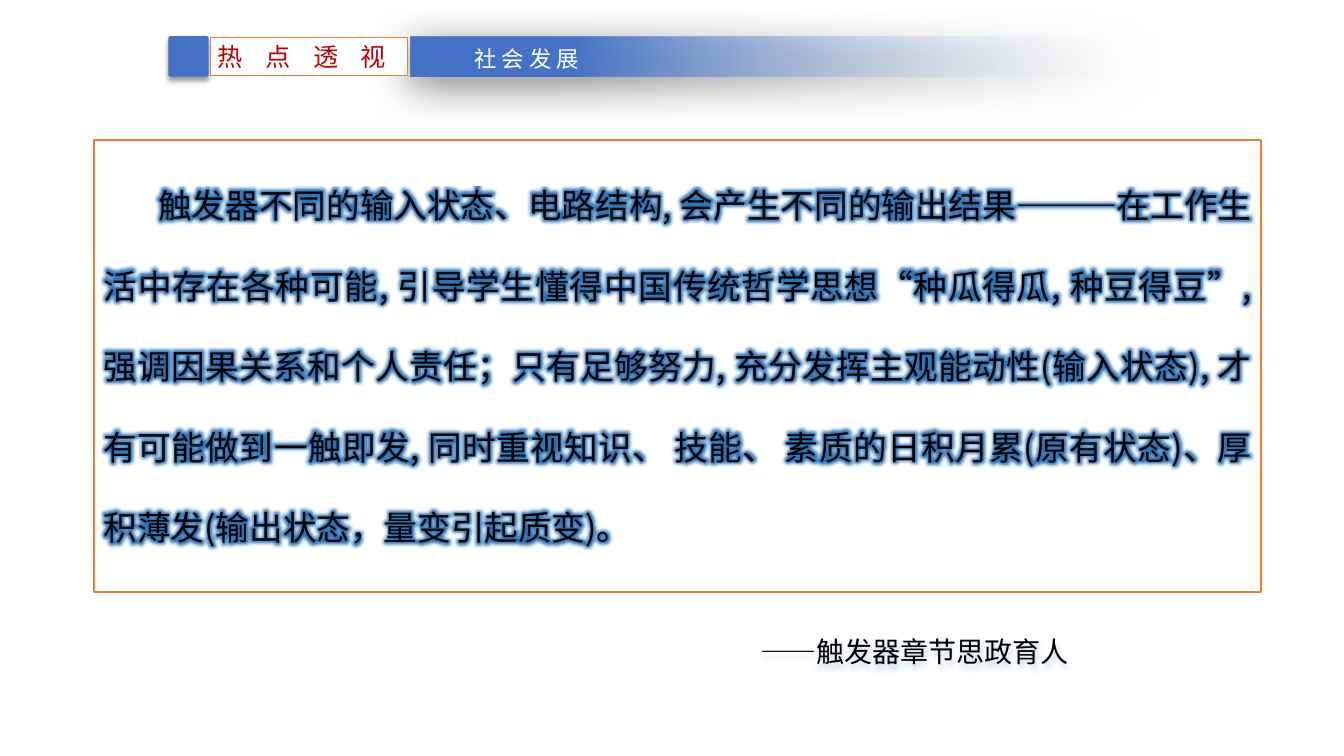
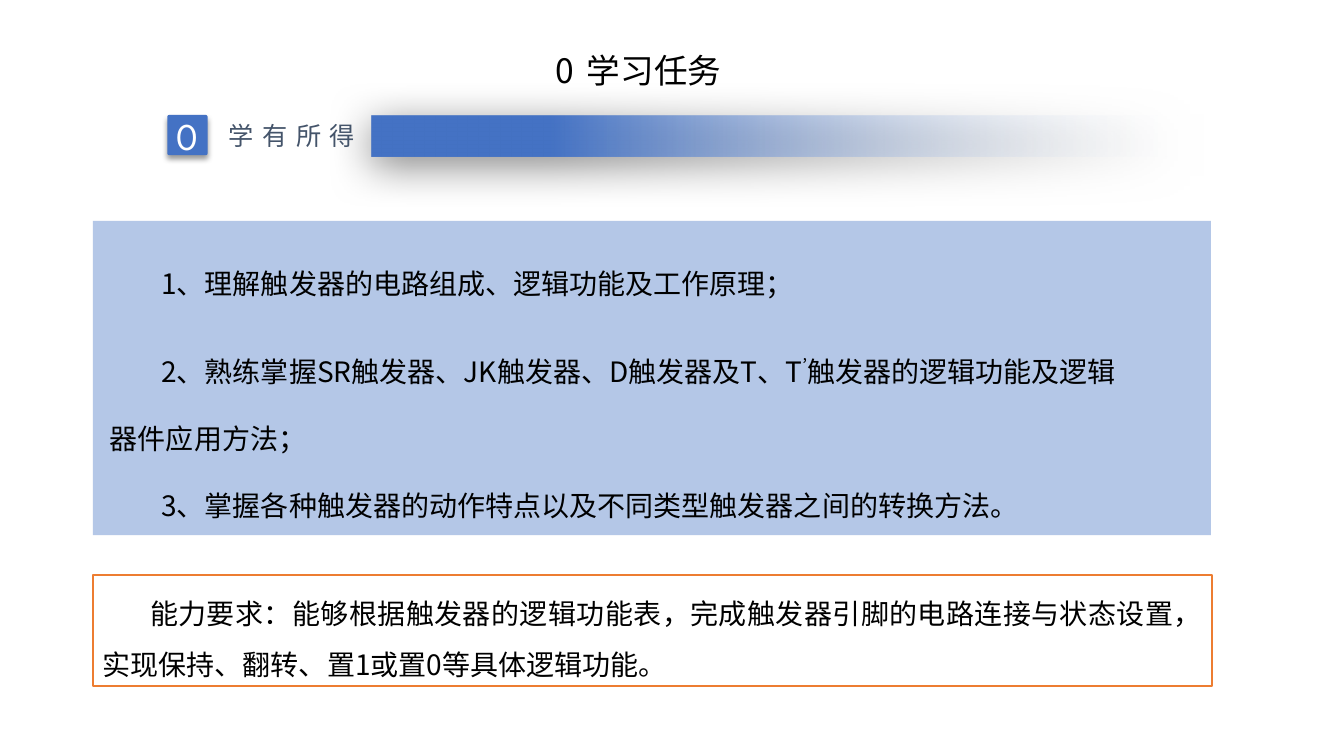
from lxml import etree
from pptx import Presentation
from pptx import util as u
from pptx.dml.color import RGBColor
from pptx.enum import shapes, text
from pptx.oxml import ns

PX = 9144
SANS = "Noto Sans CJK SC"
DISPLAY = "League Spartan"
BLUE = RGBColor(0x44, 0x72, 0xC4)
PALE = RGBColor(0xF7, 0xFA, 0xFD)
PANEL = RGBColor(0xB4, 0xC7, 0xE7)
GLOW = RGBColor(0x2E, 0x75, 0xB6)
ORANGE = RGBColor(0xED, 0x7D, 0x31)
RED = RGBColor(0xC0, 0x00, 0x00)
SLATE = RGBColor(0x44, 0x54, 0x6A)
BLACK = RGBColor(0x00, 0x00, 0x00)
WHITE = RGBColor(0xFF, 0xFF, 0xFF)
LEFT, CENTER, RIGHT, JUSTIFY = (text.PP_ALIGN.LEFT, text.PP_ALIGN.CENTER,
                                text.PP_ALIGN.RIGHT, text.PP_ALIGN.JUSTIFY)
TOP, MIDDLE = text.MSO_ANCHOR.TOP, text.MSO_ANCHOR.MIDDLE
RECT = shapes.MSO_SHAPE.RECTANGLE
ROUNDED = shapes.MSO_SHAPE.ROUNDED_RECTANGLE
WIDE_INSETS, TIGHT_INSETS = (10, 5), (7, 4)


def add_xml(parent, tag, **attributes):
    node = etree.SubElement(parent, ns.qn(tag))
    for name, value in attributes.items():
        node.set(name, str(value))
    return node


def add_color(parent, color, opacity=100):
    node = add_xml(parent, "a:srgbClr", val=color)
    if opacity < 100:
        add_xml(node, "a:alpha", val=opacity * 1000)


def add_shadow(box, color, opacity, blur, distance, angle):
    effects = box._element.spPr.find(ns.qn("a:effectLst"))
    shadow = add_xml(effects, "a:outerShdw", blurRad=u.Pt(blur), dist=u.Pt(distance),
                     dir=angle * 60000, algn="t", rotWithShape=0)
    add_color(shadow, color, opacity)


def add_box(page, area, kind=RECT, fill=None, line=None, width=1.5):
    box = page.shapes.add_shape(kind, *(u.Emu(value * PX) for value in area))
    box.shadow.inherit = False
    if fill is None:
        box.fill.background()
    else:
        box.fill.solid()
        box.fill.fore_color.rgb = fill
    if line is None:
        box.line.fill.background()
    else:
        box.line.color.rgb = line
        box.line.width = u.Pt(width)
    return box


def add_text_box(page, area):
    box = page.shapes.add_textbox(*(u.Emu(value * PX) for value in area))
    box.shadow.inherit = False
    return box


def set_frame(box, insets=TIGHT_INSETS, anchor=MIDDLE, wrap=True):
    frame = box.text_frame
    frame.word_wrap = wrap
    frame.vertical_anchor = anchor
    frame.margin_left = frame.margin_right = u.Emu(insets[0] * PX)
    frame.margin_top = frame.margin_bottom = u.Emu(insets[1] * PX)
    return frame.paragraphs[0]


def format_para(para, align=LEFT, indent=0, pitch=None, before=None):
    para.alignment = align
    if indent:
        properties = para._p.get_or_add_pPr()
        properties.set("marL", "0")
        properties.set("indent", str(indent * PX))
    if pitch:
        para.line_spacing = u.Pt(pitch)
    if before:
        para.space_before = u.Pt(before)


def add_span(para, words, size=20, color=BLACK, face=SANS, spacing=0, raised=0, glow=0):
    span = para.add_run()
    span.text = words
    span.font.size = u.Pt(size)
    span.font.color.rgb = color
    span.font.name = face
    properties = span.font._element
    latin = properties.find(ns.qn("a:latin"))
    east = add_xml(properties, "a:ea", typeface=face)
    latin.addnext(east)
    if spacing:
        properties.set("spc", str(spacing * 100))
    if raised:
        properties.set("baseline", str(raised * 1000))
    if glow:
        effects = add_xml(properties, "a:effectLst")
        add_color(add_xml(effects, "a:glow", rad=u.Pt(glow)), GLOW)
        latin.addprevious(effects)


def add_label(page, area, words, align=LEFT, wrap=True, insets=TIGHT_INSETS, **style):
    box = add_text_box(page, area)
    para = set_frame(box, insets, wrap=wrap)
    format_para(para, align)
    add_span(para, words, **style)
    return box


def add_fading_band(page, area):
    band = add_box(page, area)
    properties = band._element.spPr
    gradient = add_xml(properties, "a:gradFill", rotWithShape=1)
    stops = add_xml(gradient, "a:gsLst")
    for position, color, opacity in ((0, PALE, 0), (78, BLUE, 100)):
        add_color(add_xml(stops, "a:gs", pos=position * 1000), color, opacity)
    add_xml(gradient, "a:lin", ang=180 * 60000, scaled=0)
    properties.replace(properties.find(ns.qn("a:noFill")), gradient)
    add_shadow(band, BLACK, 50, 31, 6, 97)


def add_marker(page, left, top):
    marker = add_box(page, (left, top, 40, 40), ROUNDED, BLUE)
    marker.adjustments[0] = 0.05
    add_shadow(marker, BLACK, 40, 4, 3, 90)
    return marker


def add_framed_text(page, area, words, indent, pitch, insets=WIDE_INSETS, **style):
    box = add_box(page, area, line=ORANGE)
    para = set_frame(box, insets, TOP)
    format_para(para, JUSTIFY, indent, pitch)
    add_span(para, words, **style)


def add_tasks(page, area, tasks):
    first = set_frame(add_text_box(page, area), anchor=TOP)
    for number, (before, spans) in enumerate(tasks):
        para = first if number == 0 else first._parent.add_paragraph()
        format_para(para, indent=51, pitch=48, before=before)
        for words, raised in spans:
            add_span(para, words, raised=raised)


def build_values_page(page):
    add_fading_band(page, (407, 36, 718, 40))
    add_marker(page, 167, 36)
    heading = add_box(page, (209, 37, 195, 38), fill=WHITE, line=ORANGE, width=1)
    para = set_frame(heading, wrap=False)
    format_para(para)
    add_span(para, "热 点 透 视", size=18, color=RED, spacing=6)
    add_label(page, (455, 41, 135, 34), "社 会 发 展", CENTER, size=16, color=WHITE)
    add_framed_text(
        page, (93, 139, 1158, 448),
        "触发器不同的输入状态、电路结构, 会产生不同的输出结果———在工作生活中存在各种可能, "
        "引导学生懂得中国传统哲学思想“种瓜得瓜, 种豆得豆”, 强调因果关系和个人责任；"
        "只有足够努力, 充分发挥主观能动性(输入状态), 才有可能做到一触即发, "
        "同时重视知识、 技能、 素质的日积月累(原有状态)、厚积薄发(输出状态，量变引起质变)。",
        indent=54, pitch=57.5, size=24, glow=8)
    source = add_label(page, (541, 621, 529, 50), "——触发器章节思政育人", RIGHT,
                       insets=WIDE_INSETS)
    add_shadow(source, BLUE, 30, 4, 3, 90)


def build_tasks_page(page):
    add_box(page, (92, 219, 1109, 312), fill=PANEL)
    add_fading_band(page, (369, 115, 800, 40))
    para = set_frame(add_marker(page, 166, 114))
    format_para(para, CENTER)
    add_span(para, "0", size=27, color=WHITE, face=DISPLAY)
    add_label(page, (220, 115, 148, 38), "学有所得", wrap=False,
              size=18, color=SLATE, spacing=6)
    add_tasks(page, (102, 227, 1024, 284), (
        (0, (("1、理解触发器的电路组成、逻辑功能及工作原理；", 0),)),
        (15, (("2、熟练掌握SR触发器、JK触发器、D触发器及T、T", 0), (",", 80),
              ("触发器的逻辑功能及逻辑器件应用方法；", 0))),
        (0, (("3、掌握各种触发器的动作特点以及不同类型触发器之间的转换方法。", 0),)),
    ))
    title = set_frame(add_text_box(page, (383, 45, 500, 50)), WIDE_INSETS)
    format_para(title, CENTER)
    add_span(title, "0 ", size=24, spacing=2)
    add_span(title, "学习任务", size=24)
    add_framed_text(
        page, (92, 570, 1110, 111),
        "能力要求：能够根据触发器的逻辑功能表，完成触发器引脚的电路连接与状态设置，"
        "实现保持、翻转、置1或置0等具体逻辑功能。",
        indent=47, pitch=36.5, insets=(10, 4))


def main():
    deck = Presentation()
    deck.slide_width, deck.slide_height = u.Emu(1333 * PX), u.Emu(750 * PX)
    for build in (build_values_page, build_tasks_page):
        build(deck.slides.add_slide(deck.slide_layouts[6]))
    deck.save("out.pptx")


if __name__ == "__main__":
    main()
